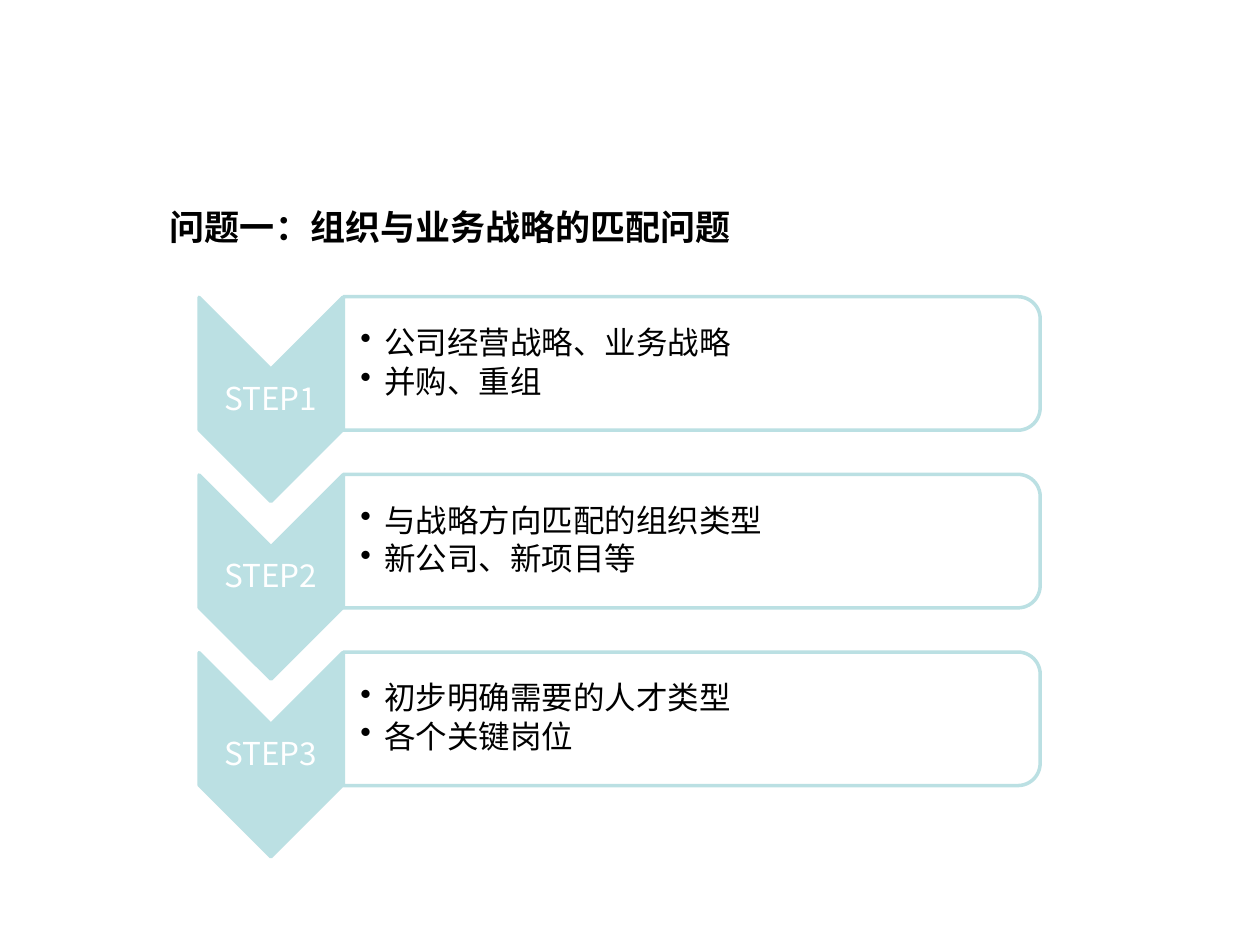
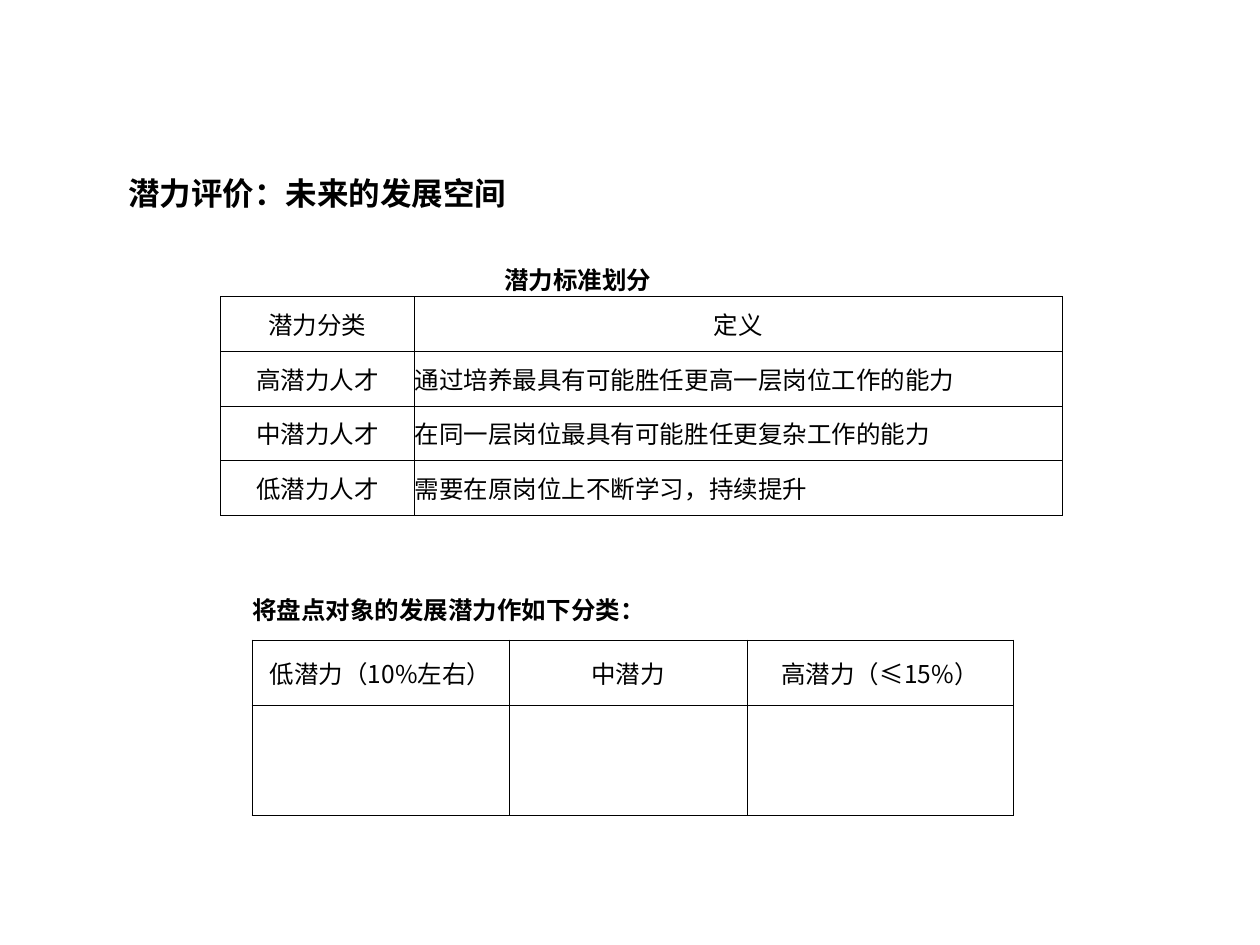
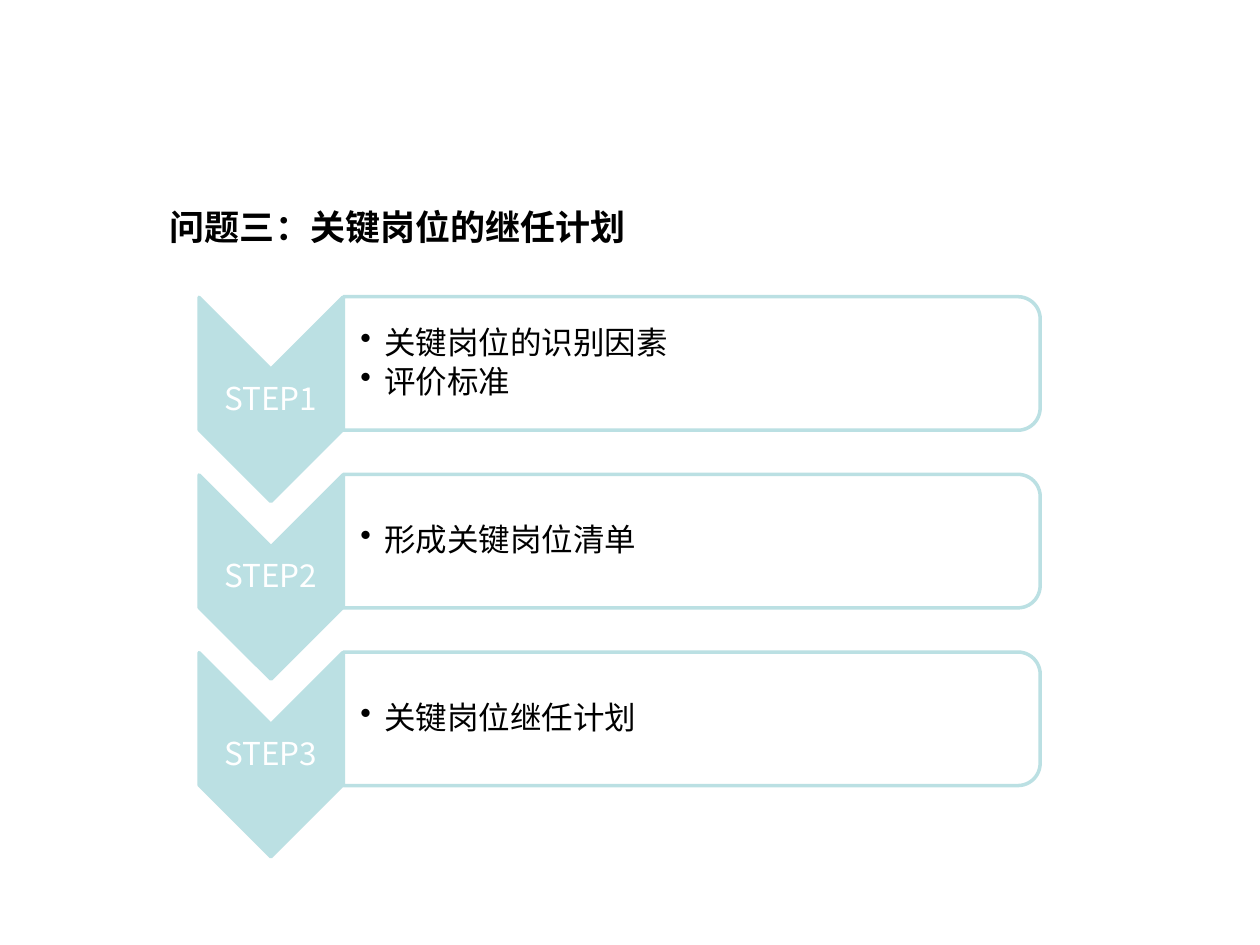
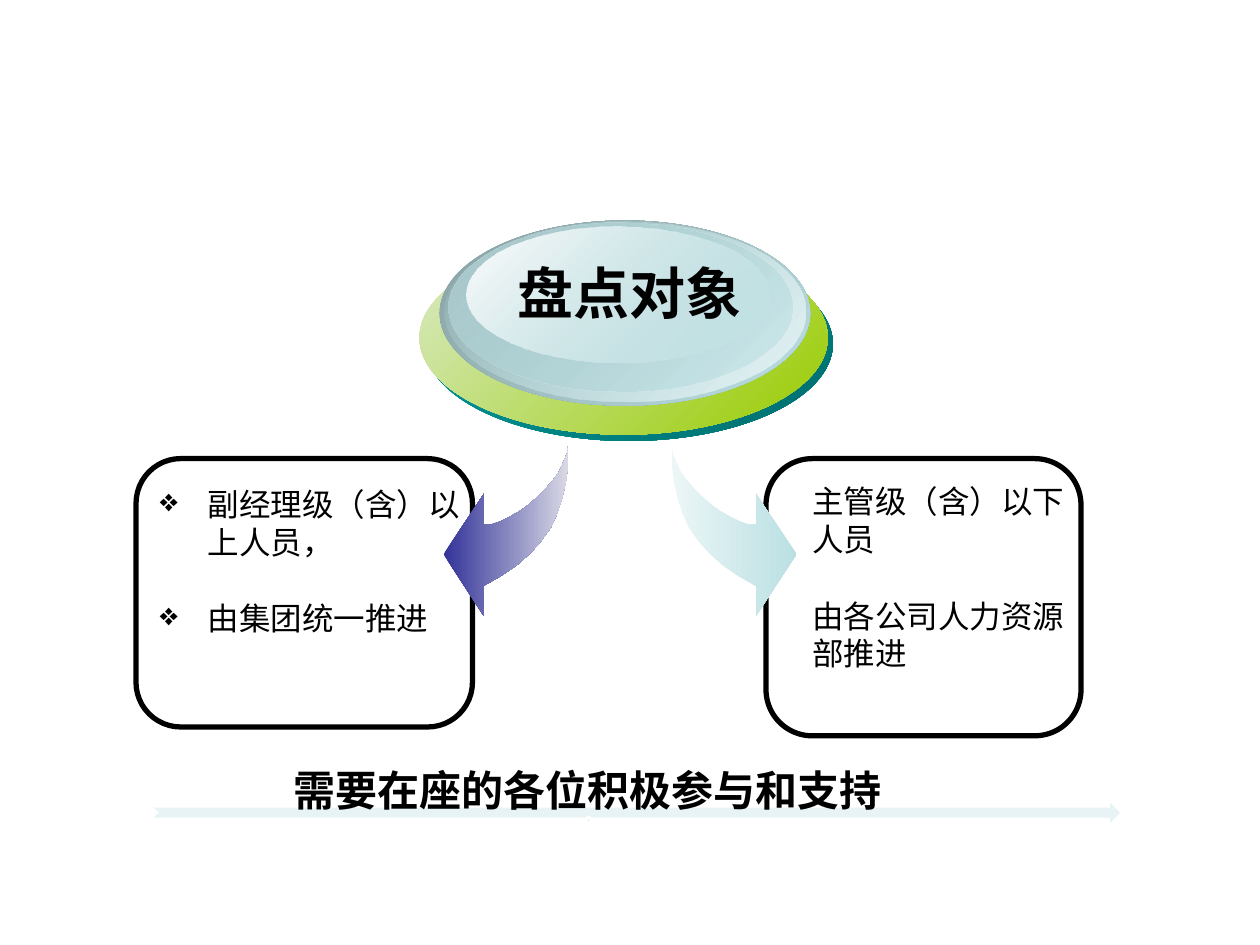
from lxml import etree
from pptx import Presentation
from pptx.dml.color import RGBColor
from pptx.enum.shapes import MSO_SHAPE
from pptx.enum.text import MSO_ANCHOR, PP_ALIGN
from pptx.oxml.ns import qn
from pptx.util import Pt

PX = 9144  # 100 px to the inch
FONT, ARIAL = "Noto Sans CJK SC", "Arial"
LEFT, MID = PP_ALIGN.LEFT, PP_ALIGN.CENTER
TOP, CENTER, BOTTOM = MSO_ANCHOR.TOP, MSO_ANCHOR.MIDDLE, MSO_ANCHOR.BOTTOM
CHEVRON, TAB = MSO_SHAPE.CHEVRON, MSO_SHAPE.ROUND_2_SAME_RECTANGLE
OVAL, ROUND, NOTCHED = MSO_SHAPE.OVAL, MSO_SHAPE.ROUNDED_RECTANGLE, MSO_SHAPE.NOTCHED_RIGHT_ARROW
BLACK = RGBColor(0, 0, 0)
WHITE = RGBColor(255, 255, 255)
AQUA = RGBColor(0xBB, 0xE0, 0xE3)
PALE = RGBColor(0xE7, 0xF3, 0xF4)
MIST = RGBColor(0xEC, 0xF6, 0xF7)
ICE = RGBColor(0xEA, 0xF5, 0xF6)
SLATE = RGBColor(0x86, 0xA0, 0xA2)
STEEL = RGBColor(0xA9, 0xCA, 0xCD)
TEAL = RGBColor(0x00, 0x99, 0x99)
DEEP = RGBColor(0x00, 0x70, 0x70)
LIME = RGBColor(0x99, 0xCC, 0x00)
SAGE = RGBColor(0xDA, 0xEA, 0xC6)
NAVY = RGBColor(0x33, 0x33, 0x99)
LILAC = RGBColor(0xD9, 0xD9, 0xE5)
PLAIN = "{2D5ABB26-0587-4C30-8999-92F81FD0307C}"  # table style without grid

# Content
MATCH = ("问题一：组织与业务战略的匹配问题", [
    ["公司经营战略、业务战略", "并购、重组"],
    ["与战略方向匹配的组织类型", "新公司、新项目等"],
    ["初步明确需要的人才类型", "各个关键岗位"]])
HEIRS = ("问题三：关键岗位的继任计划", [
    ["关键岗位的识别因素", "评价标准"],
    ["形成关键岗位清单"],
    ["关键岗位继任计划"]])
GRADES = [
    ("潜力分类", "定义"),
    ("高潜力人才", "通过培养最具有可能胜任更高一层岗位工作的能力"),
    ("中潜力人才", "在同一层岗位最具有可能胜任更复杂工作的能力"),
    ("低潜力人才", "需要在原岗位上不断学习，持续提升")]
SHARES = ["低潜力（10%左右）", "中潜力", "高潜力（≤15%）"]
UPPER = ["副经理级（含）以上人员，", "由集团统一推进"]
LOWER = ["主管级（含）以下人员", "由各公司人力资源部推进"]

# Disc layers: box, then (colour, opacity) at each end
DISC = [
    ((337, 196, 324, 154), (TEAL, 100), (DEEP, 100)),
    ((333, 191, 324, 154), (SAGE, 100), (LIME, 100)),
    ((349, 175, 294, 147), (SLATE, 100), (AQUA, 100)),
    ((353, 176, 286, 143), (AQUA, 0), (ICE, 100)),
    ((356, 177, 273, 134), (STEEL, 100), (AQUA, 48)),
    ((370, 180, 240, 108), (WHITE, 100), (AQUA, 38))]
SWOOP = [
    (451, 353), (451, 368), (449, 383), (446, 396), (442, 408), (437, 419), (429, 430),
    (421, 439), (411, 448), (398, 457), (384, 465), (384, 489), (352, 440), (384, 392),
    (384, 416), (391, 416), (397, 414), (405, 410), (412, 406), (419, 401), (426, 395),
    (433, 388), (439, 381), (444, 374), (447, 367), (450, 360)]
MIRROR = 984  # sum of the x of both arrows


def emu(*sizes):
    return [int(n * PX) for n in sizes]


def bullet(para, mark, indent):
    props = para._p.get_or_add_pPr()
    props.set("marL", str(indent * PX))
    props.set("indent", str(-indent * PX))
    etree.SubElement(props, qn("a:buChar")).set("char", mark)


def write(frame, lines, size=18, color=BLACK, bold=False, font=FONT, align=LEFT,
          anchor=TOP, pad=(10, 5, 10, 5), mark=None, indent=0, lead=None,
          after=None, gap=None, wrap=True):
    """Fill a text frame; after is a share of the size, gap is in points."""
    frame.word_wrap = wrap
    frame.vertical_anchor = anchor
    (frame.margin_left, frame.margin_top,
     frame.margin_right, frame.margin_bottom) = emu(*pad)
    for i, line in enumerate(lines):
        para = frame.paragraphs[0] if i == 0 else frame.add_paragraph()
        if mark:
            bullet(para, mark, indent)
        para.alignment = align
        if lead:
            para.line_spacing = lead
        if after:
            para.space_after = Pt(size * after)
        if gap and i:
            para.space_before = Pt(gap)
        run = para.add_run()
        run.text = line
        run.font.size, run.font.bold, run.font.name = Pt(size), bold, font
        run.font.color.rgb = color
        etree.SubElement(run._r.get_or_add_rPr(), qn("a:ea")).set("typeface", font)


def label(slide, box, lines, **style):
    write(slide.shapes.add_textbox(*emu(*box)).text_frame, lines, **style)


def paint(shape, fill=None, line=None, width=2):
    shape.shadow.inherit = False
    if fill is None:
        shape.fill.background()
    else:
        shape.fill.solid()
        shape.fill.fore_color.rgb = fill
    if line is None:
        shape.line.fill.background()
    else:
        shape.line.color.rgb = line
        shape.line.width = Pt(width)
    return shape


def draw(slide, kind, box, turn=0, **look):
    shape = paint(slide.shapes.add_shape(kind, *emu(*box)), **look)
    shape.rotation = turn
    return shape


def blend(shape, start, end, angle):
    """Linear gradient between two (colour, opacity) ends."""
    grad = etree.Element(qn("a:gradFill"), rotWithShape="1")
    stops = etree.SubElement(grad, qn("a:gsLst"))
    for pos, (color, alpha) in ((0, start), (100, end)):
        stop = etree.SubElement(stops, qn("a:gs"), pos=str(pos * 1000))
        tint = etree.SubElement(stop, qn("a:srgbClr"), val=str(color))
        if alpha < 100:
            etree.SubElement(tint, qn("a:alpha"), val=str(alpha * 1000))
    etree.SubElement(grad, qn("a:lin"), ang=str(angle * 60000), scaled="0")
    props = shape._element.spPr
    props.replace(props.find(qn("a:noFill")), grad)


def swoop(slide, points, start, end):
    pen = slide.shapes.build_freeform(*points[0], scale=PX)
    pen.add_line_segments(points[1:], close=True)
    blend(paint(pen.convert_to_shape()), (start, 100), (end, 100), 0)


def edge(cell, sides):
    props = cell._tc.get_or_add_tcPr()
    for side in sides:
        line = etree.SubElement(props, qn("a:ln" + side), w="6350")
        fill = etree.SubElement(line, qn("a:solidFill"))
        etree.SubElement(fill, qn("a:srgbClr"), val=str(BLACK))
    cell.fill.background()


def grid(slide, left, top, cols, rows):
    """Ruled table whose first row is an open heading."""
    frame = slide.shapes.add_table(len(rows), len(cols),
                                   *emu(left, top, sum(cols), sum(rows)))
    table = frame.table
    table.first_row = table.horz_banding = False
    table._tbl.tblPr.find(qn("a:tableStyleId")).text = PLAIN
    for col, width in zip(table.columns, emu(*cols)):
        col.width = width
    for r, high in enumerate(emu(*rows)):
        table.rows[r].height = high
        for c in range(len(cols)):
            edge(table.cell(r, c), "LRTB" if r else "B")
    return table


def put(cell, text, align=MID, anchor=CENTER, left=0, bold=False):
    write(cell.text_frame, [text], size=14, bold=bold, align=align)
    cell.vertical_anchor = anchor
    cell.margin_left, cell.margin_top, cell.margin_right, cell.margin_bottom = emu(left, 0, 0, 0)


def steps(slide, title, groups):
    label(slide, (125, 158, 642, 77), [title], size=20, bold=True)
    for i, lines in enumerate(groups):
        y = 141 * i
        draw(slide, CHEVRON, (134, 260 + y, 162, 114), 90, fill=AQUA, line=AQUA)
        label(slide, (158, 293 + y, 114, 49), [f"STEP{i + 1}"], color=WHITE, align=MID,
              anchor=CENTER, pad=(1, 1, 1, 1), lead=0.9, after=0.35)
        draw(slide, TAB, (496, 12 + y, 106, 553), 90, fill=WHITE, line=AQUA)
        label(slide, (272, 241 + y, 548, 95), lines, anchor=CENTER, pad=(14, 1, 1, 1),
              mark="•", indent=19, lead=0.9, after=0.15)


def rating(slide):
    label(slide, (92, 133, 425, 40), ["潜力评价：未来的发展空间"], bold=True)
    # Definitions
    table = grid(slide, 175, 192, [154, 219, 102, 102, 81], [217 / 5] * 5)
    table.cell(0, 0).merge(table.cell(0, 1))
    put(table.cell(0, 0), "潜力标准划分", LEFT, BOTTOM, left=225, bold=True)
    for r, (name, note) in enumerate(GRADES, 1):
        table.cell(r, 1).merge(table.cell(r, 4))
        put(table.cell(r, 0), name)
        put(table.cell(r, 1), note, MID if r == 1 else LEFT)
    # Shares
    table = grid(slide, 200, 458, [204, 189, 211], [50, 52, 87])
    table.cell(0, 0).merge(table.cell(0, 2))
    put(table.cell(0, 0), "将盘点对象的发展潜力作如下分类：", LEFT, bold=True)
    for c, name in enumerate(SHARES):
        put(table.cell(1, c), name)


def scope(slide):
    # Left side
    draw(slide, ROUND, (108, 364, 267, 213), line=BLACK, width=3)
    label(slide, (117, 380, 258, 222), UPPER, mark="❖", indent=38, gap=22)
    swoop(slide, SWOOP, NAVY, LILAC)
    # Disc
    for box, start, end in DISC:
        blend(draw(slide, OVAL, box), start, end, 45)
    label(slide, (400, 200, 200, 64), ["盘点对象"], size=32, bold=True, align=MID, wrap=False)
    # Right side
    draw(slide, ROUND, (608, 364, 250, 220), line=BLACK, width=3)
    label(slide, (635, 378, 223, 162), LOWER, gap=22)
    swoop(slide, [(MIRROR - x, y) for x, y in SWOOP], MIST, AQUA)
    # Closing line
    draw(slide, NOTCHED, (122, 637, 767, 16), fill=PALE)
    label(slide, (122, 625, 689, 40), ["需要在座的各位积极参与和支持"], size=24, bold=True,
          font=ARIAL, align=MID, anchor=BOTTOM, pad=(19, 19, 19, 19), lead=0.9, after=0.35)
    draw(slide, OVAL, (465, 649, 4, 4), fill=AQUA, line=WHITE)


def main():
    deck = Presentation()
    deck.slide_width, deck.slide_height = emu(1000, 750)
    blank = deck.slide_layouts[6]
    first, second, third, last = [deck.slides.add_slide(blank) for _ in range(4)]
    steps(first, *MATCH)
    rating(second)
    steps(third, *HEIRS)
    scope(last)
    deck.save("out.pptx")


if __name__ == "__main__":
    main()
